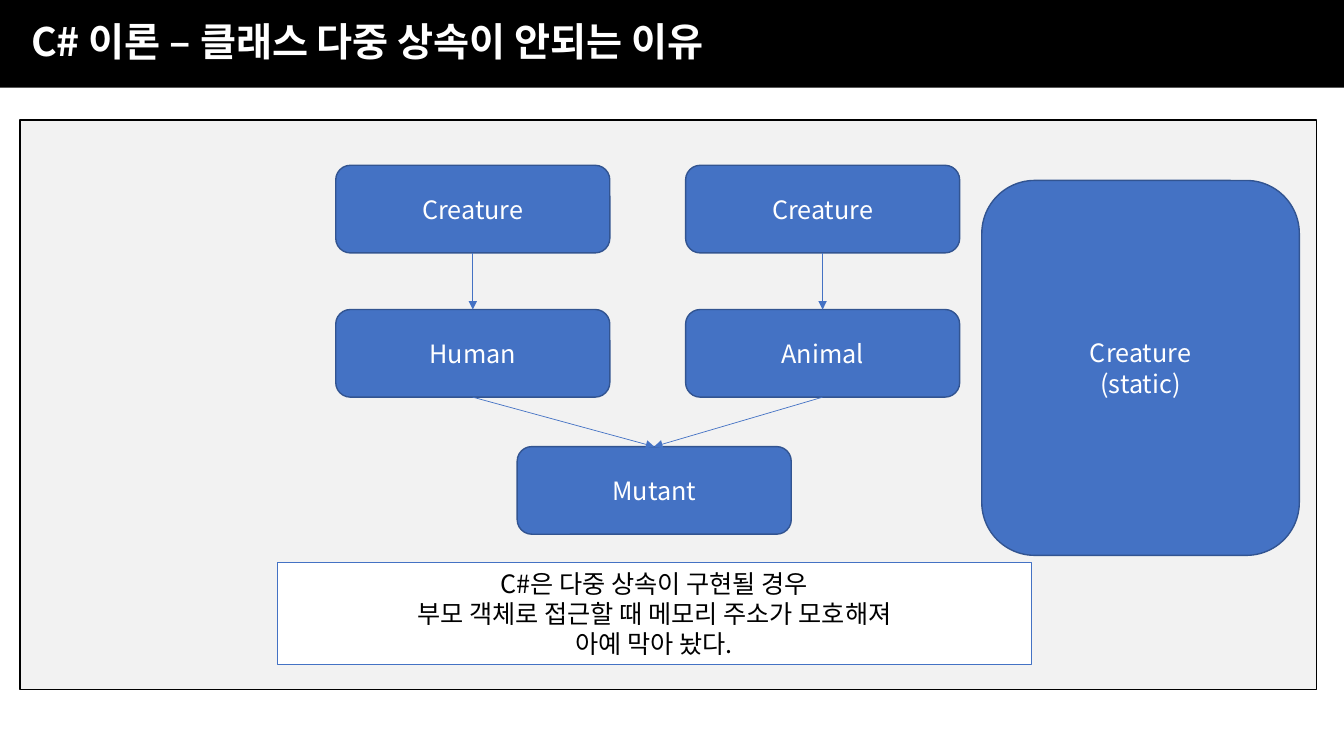
from lxml import etree
from pptx import Presentation
from pptx.dml.color import RGBColor
from pptx.enum.shapes import MSO_CONNECTOR, MSO_SHAPE
from pptx.enum.text import MSO_ANCHOR, MSO_AUTO_SIZE, PP_ALIGN
from pptx.oxml.ns import qn
from pptx.util import Pt

RECTANGLE, ROUNDED = MSO_SHAPE.RECTANGLE, MSO_SHAPE.ROUNDED_RECTANGLE
STRAIGHT = MSO_CONNECTOR.STRAIGHT
LEFT, CENTER = PP_ALIGN.LEFT, PP_ALIGN.CENTER
MIDDLE = MSO_ANCHOR.MIDDLE
NO_AUTOFIT = MSO_AUTO_SIZE.NONE

FONT = "Noto Sans CJK KR"
BLACK, WHITE, GRAY = "000000", "FFFFFF", "F2F2F2"
BLUE, DARK_BLUE = "4472C4", "325491"
TOP_SITE, BOTTOM_SITE = 0, 2


def color(hex_string):
    return RGBColor.from_string(hex_string)


def write_text(shape, lines, size, text_color, alignment=CENTER, bold=False):
    """Write one paragraph per line and format its runs."""
    text_frame = shape.text_frame
    text_frame.word_wrap = True
    text_frame.auto_size = NO_AUTOFIT
    text_frame.vertical_anchor = MIDDLE
    for index, line in enumerate(lines):
        paragraph = text_frame.add_paragraph() if index else text_frame.paragraphs[0]
        paragraph.text = line
        paragraph.alignment = alignment
        for run in paragraph.runs:
            run.font.name = FONT
            run.font.size = Pt(size)
            run.font.bold = bold
            run.font.color.rgb = color(text_color)
            # Hangul takes the East Asian typeface
            east_asian = etree.SubElement(run.font._element, qn("a:ea"))
            east_asian.set("typeface", FONT)


def add_box(slide, kind, box, fill, line):
    shape = slide.shapes.add_shape(kind, *(Pt(length) for length in box))
    shape.shadow.inherit = False
    shape.fill.solid()
    shape.fill.fore_color.rgb = color(fill)
    shape.line.color.rgb = color(line)
    shape.line.width = Pt(1)
    return shape


def add_class(slide, name, box):
    shape = add_box(slide, ROUNDED, box, BLUE, DARK_BLUE)
    write_text(shape, [name], 18, WHITE)
    return shape


def add_arrow(slide, parent, child):
    """Link the bottom of a parent to the top of a child."""
    arrow = slide.shapes.add_connector(STRAIGHT, 0, 0, 0, 0)
    arrow.begin_connect(parent, BOTTOM_SITE)
    arrow.end_connect(child, TOP_SITE)
    arrow.line.color.rgb = color(BLUE)
    arrow.line.width = Pt(0.5)
    properties = arrow._element.spPr
    etree.SubElement(arrow.line._get_or_add_ln(), qn("a:tailEnd")).set("type", "triangle")
    etree.SubElement(properties, qn("a:effectLst"))


def add_header(slide, box, text):
    title = slide.shapes.title
    title.left, title.top, title.width, title.height = (Pt(length) for length in box)
    title.fill.solid()
    title.fill.fore_color.rgb = color(BLACK)
    write_text(title, [text], 28, WHITE, LEFT, bold=True)
    text_frame = title.text_frame
    text_frame.margin_left, text_frame.margin_right = Pt(22.3), Pt(7.2)
    text_frame.margin_top = text_frame.margin_bottom = Pt(3.6)
    text_frame.paragraphs[0].line_spacing = 0.9
    text_frame.paragraphs[0].space_before = Pt(10)


def add_inheritance(slide, box):
    """Two lines of descent that meet in one class."""
    left, top, width, height = box
    class_width, class_height = 195.8, 62.6
    bottom = top + height - class_height
    mutant = add_class(slide, "Mutant", (left + 129.6, bottom, class_width, class_height))
    column_lefts = (left, left + width - class_width)
    for column_left, child_name in zip(column_lefts, ("Human", "Animal")):
        creature = add_class(slide, "Creature", (column_left, top, class_width, class_height))
        child = add_class(slide, child_name, (column_left, top + 103, class_width, class_height))
        add_arrow(slide, creature, child)
        add_arrow(slide, child, mutant)


def add_panel(slide, box):
    left, top, width, height = box
    add_box(slide, RECTANGLE, box, GRAY, BLACK)
    # Class diagram
    add_inheritance(slide, (left + 225.4, top + 32.4, 445.7, 263.5))
    # Explanation
    note = add_box(slide, RECTANGLE, (left + 183.6, top + 316.1, 538.6, 72.7), WHITE, BLUE)
    write_text(note, ["C#은 다중 상속이 구현될 경우",
                      "부모 객체로 접근할 때 메모리 주소가 모호해져",
                      "아예 막아 놨다."], 18, BLACK)
    # Static class
    add_class(slide, "Creature\n(static)", (left + width - 239, top + 43.2, 226.8, 267.8))


def main():
    presentation = Presentation()
    presentation.slide_width, presentation.slide_height = Pt(960), Pt(540)
    slide = presentation.slides.add_slide(presentation.slide_layouts[5])
    add_header(slide, (0, 0, 960, 62.6), "C# 이론 – 클래스 다중 상속이 안되는 이유")
    add_panel(slide, (14.4, 85.7, 925.9, 406.8))
    presentation.save("out.pptx")


if __name__ == "__main__":
    main()
